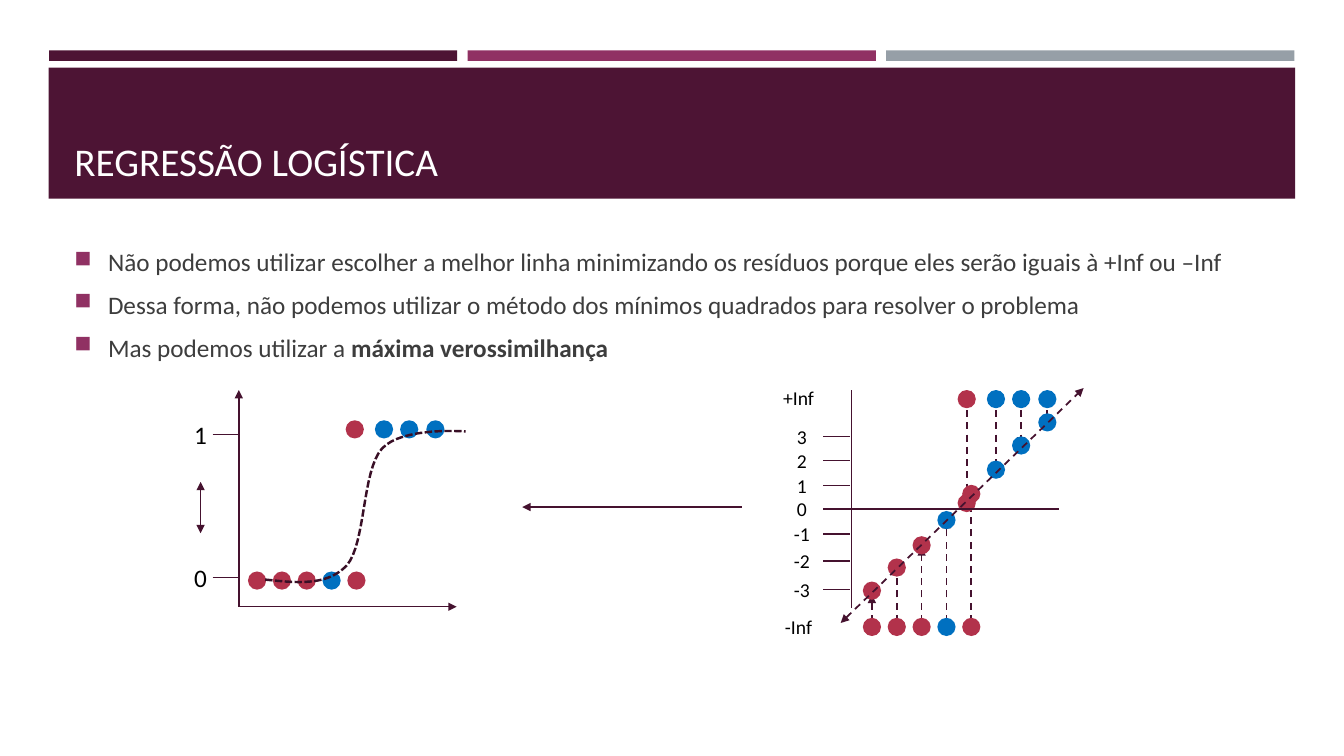
from dataclasses import dataclass
from typing import Any, Iterable, Optional

from lxml import etree
from pptx import Presentation
from pptx import util as u
from pptx.dml.color import RGBColor
from pptx.enum import dml, shapes, text
from pptx.oxml import ns


@dataclass(frozen=True)
class Theme:
    font: str = "Calibri"
    plum: str = "4D1434"
    magenta: str = "903163"
    grey: str = "969FA7"
    body: str = "3D3D3D"
    white: str = "FFFFFF"
    black: str = "000000"
    line: str = "45122F"
    curve: str = "390F26"
    red: str = "B2324B"
    blue: str = "0070C0"
    title_size: float = 28
    body_size: float = 18
    tick_size: float = 14


@dataclass(frozen=True)
class Sample:
    """A data point: offset from its row's start, colour, log-odds height, drop line tip."""
    offset: float
    color: str
    fitted_y: float
    tip_y: float


@dataclass(frozen=True)
class Stroke:
    x1: float
    y1: float
    x2: float
    y2: float
    width: float = 1
    dashed: bool = False
    start_arrow: bool = False
    end_arrow: bool = False


@dataclass(frozen=True)
class Label:
    words: str
    center_x: float
    center_y: float
    width: float
    height: float
    size: float
    align: Any = text.PP_ALIGN.CENTER


THEME = Theme()
DOT = 13
STEP = 17.75
BULLETS = [
    [("Não podemos utilizar escolher a melhor linha minimizando os resíduos "
      "porque eles serão iguais à +Inf ou –Inf", False)],
    [("Dessa forma, não podemos utilizar o método dos mínimos quadrados "
      "para resolver o problema", False)],
    [("Mas podemos utilizar a ", False), ("máxima verossimilhança", True)],
]
ZEROS = [
    Sample(0, THEME.red, 421.9, 424.8),
    Sample(STEP, THEME.red, 405.4, 403.9),
    Sample(2 * STEP, THEME.red, 389.5, 391),
    Sample(3 * STEP, THEME.blue, 371.5, 371.5),
    Sample(4 * STEP, THEME.red, 352.8, 350.6),
]
ONES = [
    Sample(0, THEME.red, 359.3, 360.7),
    Sample(20.9, THEME.blue, 335.5, 336.2),
    Sample(38.9, THEME.blue, 318.2, 318.2),
    Sample(57.6, THEME.blue, 301.7, 306),
]
PROBABILITY_TICKS = {"1": 310.3, "0": 412.6}
LOG_ODDS_TICKS = {"3": 311.8, "2": 329, "1": 347, "0": 363.6,
                  "-1": 381.4, "-2": 400.8, "-3": 421.2}
SIGMOID = [(189.4, 414), (211, 416.2), (233.3, 419), (247.7, 403.9),
           (261.4, 388.1), (258.5, 336.2), (272.9, 320.4),
           (287.3, 304.6), (332.6, 308.2), (332.6, 308.2)]


def rgb(color: str) -> RGBColor:
    return RGBColor.from_string(color)


def apply(target: Any, values: dict) -> None:
    for name, value in values.items():
        setattr(target, name, value)


def add_filled(page: Any, kind: Any, left: float, top: float,
               width: float, height: float, color: str) -> None:
    shape = page.shapes.add_shape(kind, u.Pt(left), u.Pt(top), u.Pt(width), u.Pt(height))
    shape.shadow.inherit = False
    shape.fill.solid()
    shape.fill.fore_color.rgb = rgb(color)
    shape.line.fill.background()


def add_dot(page: Any, x: float, y: float, color: str) -> None:
    add_filled(page, shapes.MSO_SHAPE.OVAL, x - DOT / 2, y - DOT / 2, DOT, DOT, color)


def add_box(page: Any, left: float, top: float, width: float, height: float,
            anchor: Any) -> Any:
    box = page.shapes.add_textbox(u.Pt(left), u.Pt(top), u.Pt(width), u.Pt(height))
    apply(box.text_frame, {"word_wrap": True, "vertical_anchor": anchor})
    return box.text_frame


def add_span(para: Any, words: str, size: float, color: str, bold: bool = False) -> None:
    span = para.add_run()
    span.text = words
    apply(span.font, {"name": THEME.font, "size": u.Pt(size), "bold": bold})
    span.font.color.rgb = rgb(color)


def add_label(page: Any, label: Label) -> None:
    frame = add_box(page, label.center_x - label.width / 2, label.center_y - label.height / 2,
                    label.width, label.height, text.MSO_ANCHOR.MIDDLE)
    para = frame.paragraphs[0]
    para.alignment = label.align
    add_span(para, label.words, label.size, THEME.black)


def add_stroke(page: Any, stroke: Stroke) -> None:
    connector = page.shapes.add_connector(
        shapes.MSO_CONNECTOR.STRAIGHT, u.Pt(stroke.x1), u.Pt(stroke.y1),
        u.Pt(stroke.x2), u.Pt(stroke.y2))
    connector.line.width = u.Pt(stroke.width)
    connector.line.color.rgb = rgb(THEME.line)
    if stroke.dashed:
        connector.line.dash_style = dml.MSO_LINE.DASH
    outline = connector.line._get_or_add_ln()
    for tag, shown in (("a:headEnd", stroke.start_arrow), ("a:tailEnd", stroke.end_arrow)):
        if shown:
            etree.SubElement(outline, ns.qn(tag), type="triangle")
    etree.SubElement(connector._element.spPr, ns.qn("a:effectLst"))


def add_bullet(para: Any) -> None:
    """Give the paragraph a hanging square bullet."""
    props = para._p.get_or_add_pPr()
    props.set("marL", str(u.Pt(24)))
    props.set("indent", str(u.Pt(-24)))
    color = etree.SubElement(props, ns.qn("a:buClr"))
    etree.SubElement(color, ns.qn("a:srgbClr"), val=THEME.magenta)
    etree.SubElement(props, ns.qn("a:buSzPct"), val="92000")
    etree.SubElement(props, ns.qn("a:buChar"), char="■")


def bezier_points(controls: list, steps: int = 16) -> Iterable[tuple]:
    """Yield points along joined cubic curves, after the first control point."""
    for first in range(0, len(controls) - 1, 3):
        a, b, c, d = controls[first:first + 4]
        for step in range(1, steps + 1):
            t = step / steps
            s = 1 - t
            yield tuple(u.Pt(s**3 * p + 3 * s * s * t * q + 3 * s * t * t * r + t**3 * e)
                        for p, q, r, e in zip(a, b, c, d))


def add_sigmoid(page: Any) -> None:
    x, y = SIGMOID[0]
    builder = page.shapes.build_freeform(u.Pt(x), u.Pt(y))
    builder.add_line_segments(bezier_points(SIGMOID), close=False)
    curve = builder.convert_to_shape()
    curve.shadow.inherit = False
    curve.fill.background()
    apply(curve.line, {"width": u.Pt(1.75), "dash_style": dml.MSO_LINE.SQUARE_DOT})
    curve.line.color.rgb = rgb(THEME.curve)


def add_row(page: Any, samples: list, start: float, y: Optional[float] = None) -> None:
    """Draw samples at height y, or at their fitted heights."""
    for sample in samples:
        add_dot(page, start + sample.offset, sample.fitted_y if y is None else y, sample.color)


def add_heading(page: Any) -> None:
    for index, color in enumerate((THEME.plum, THEME.magenta, THEME.grey)):
        add_filled(page, shapes.MSO_SHAPE.RECTANGLE, 35 + 299 * index, 36, 291.6, 7.5, color)
    add_filled(page, shapes.MSO_SHAPE.RECTANGLE, 34.8, 48.4, 890.4, 93.6, THEME.plum)
    title = add_box(page, 46.1, 55.4, 868.3, 79.9, text.MSO_ANCHOR.BOTTOM)
    add_span(title.paragraphs[0], "REGRESSÃO LOGÍSTICA", THEME.title_size, THEME.white)


def add_bullets(page: Any) -> None:
    frame = add_box(page, 46.1, 172.4, 868.3, 289.4, text.MSO_ANCHOR.TOP)
    for index, spans in enumerate(BULLETS):
        para = frame.add_paragraph() if index else frame.paragraphs[0]
        add_bullet(para)
        para.space_after = u.Pt(9)
        for words, bold in spans:
            add_span(para, words, THEME.body_size, THEME.body, bold)


def add_probability_plot(page: Any) -> None:
    add_stroke(page, Stroke(170.6, 433.4, 170.6, 278.6, end_arrow=True))
    add_stroke(page, Stroke(170.6, 433.4, 326.2, 433.4, end_arrow=True))
    for words, y in PROBABILITY_TICKS.items():
        add_stroke(page, Stroke(151.9, y, 170.6, y))
        add_label(page, Label(words, 130, y, 49.7, 28.8, THEME.body_size, text.PP_ALIGN.RIGHT))
    add_row(page, ONES, 253.4, 306.7)
    add_row(page, ZEROS, 183.6, 414.7)
    add_sigmoid(page)
    add_stroke(page, Stroke(143.3, 344.2, 143.3, 380.9, start_arrow=True, end_arrow=True))


def add_log_odds_plot(page: Any) -> None:
    rows = [(ZEROS, 622.8, 447.8, 444.2), (ONES, 690.5, 285.1, 293)]
    for samples, start, _, drop_y in rows:
        for sample in samples:
            x = start + sample.offset
            add_stroke(page, Stroke(x, drop_y, x, sample.tip_y, 1.25, True, end_arrow=True))
    for samples, start, _, _ in rows:
        add_row(page, samples, start)
    add_stroke(page, Stroke(608.4, 434.2, 608.4, 278.6))
    for words, y in LOG_ODDS_TICKS.items():
        add_stroke(page, Stroke(588.2, y, 756.7 if words == "0" else 607, y))
        add_label(page, Label(words, 572.8, y, 28.1, 24.5, THEME.tick_size))
    for samples, start, row_y, _ in rows:
        add_row(page, samples, start, row_y)
    add_stroke(page, Stroke(600.5, 445, 774, 277.2, 1.25, True, True, True))
    for words, y in (("+Inf", 284.4), ("-Inf", 447.8)):
        add_label(page, Label(words, 570.4, y, 38.2, 24.5, THEME.tick_size))


def main() -> None:
    deck = Presentation()
    apply(deck, {"slide_width": u.Pt(960), "slide_height": u.Pt(540)})
    page = deck.slides.add_slide(deck.slide_layouts[6])
    add_heading(page)
    add_bullets(page)
    add_probability_plot(page)
    add_stroke(page, Stroke(530, 362.2, 373, 362.2, end_arrow=True))
    add_log_odds_plot(page)
    deck.save("out.pptx")


if __name__ == "__main__":
    main()
